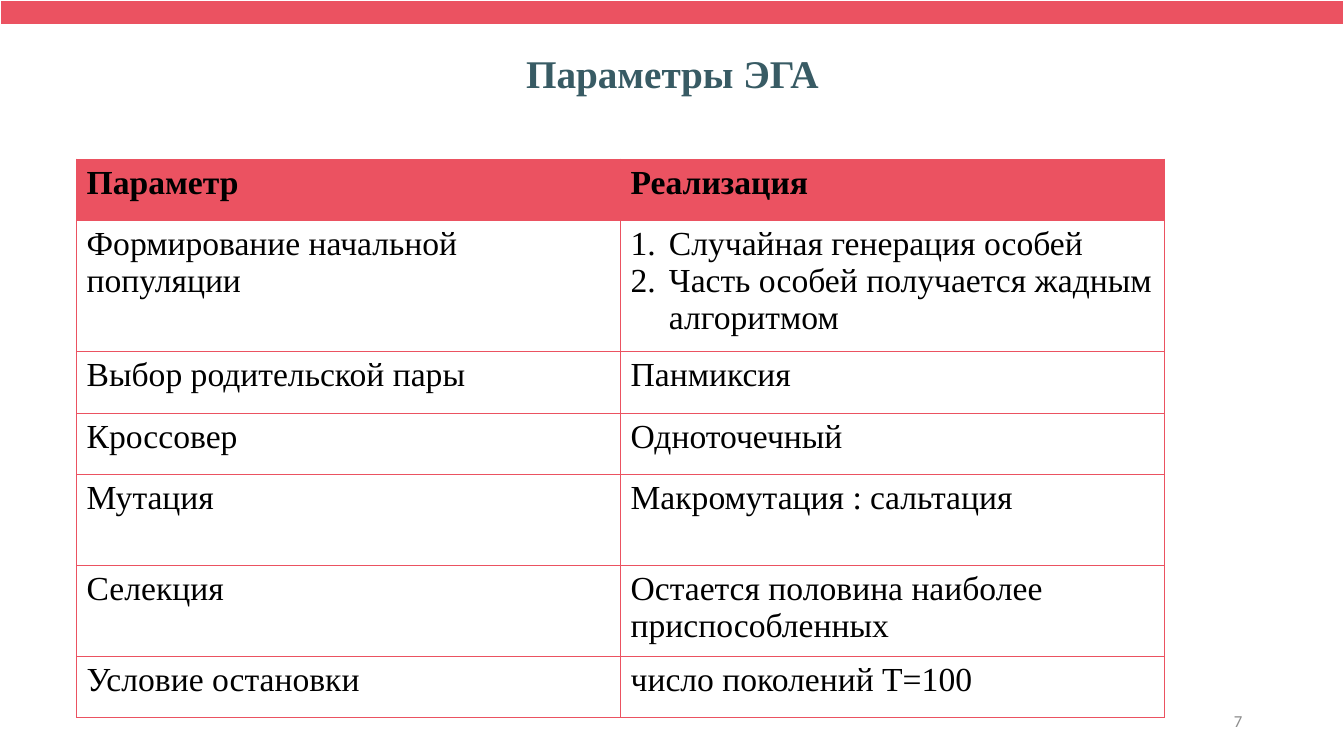
from lxml import etree
from pptx import Presentation
from pptx import util as u
from pptx.dml.color import RGBColor
from pptx.enum import shapes, text
from pptx.oxml.ns import qn

ACCENT = "EB5261"
SERIF = "Times New Roman"
ROWS = [
    ("Параметр", "Реализация"),
    ("Формирование начальной популяции",
     ["Случайная генерация особей", "Часть особей получается жадным алгоритмом"]),
    ("Выбор родительской пары", "Панмиксия"),
    ("Кроссовер", "Одноточечный"),
    ("Мутация", "Макромутация : cальтация"),
    ("Селекция\u00a0", "Остается половина наиболее приспособленных"),
    ("Условие остановки", "число поколений T=100"),
]
ROW_HEIGHTS = [0.61, 1.3, 0.61, 0.61, 0.9, 0.9, 0.61]


def color(value):
    return RGBColor.from_string(value)


def write(paragraph, words, size=24, font=SERIF, fill="000000", bold=False, align=None):
    run = paragraph.add_run()
    run.text = words
    run.font.size = u.Pt(size)
    run.font.name = font
    run.font.bold = bold
    run.font.color.rgb = color(fill)
    paragraph.alignment = align


def add_label(slide, box, words, anchor=text.MSO_ANCHOR.TOP, **style):
    frame = slide.shapes.add_textbox(*map(u.Inches, box)).text_frame
    frame.word_wrap = True
    frame.vertical_anchor = anchor
    write(frame.paragraphs[0], words, **style)


def add_top_band(slide, box):
    band = slide.shapes.add_shape(shapes.MSO_SHAPE.RECTANGLE, *map(u.Inches, box))
    band.shadow.inherit = False
    band.fill.solid()
    band.fill.fore_color.rgb = color(ACCENT)
    band.line.color.rgb = color("FFFFFF")
    band.line.width = u.Pt(1.5)


def number(paragraph):
    props = paragraph._p.get_or_add_pPr()
    props.set("marL", str(u.Inches(0.38)))
    props.set("indent", str(u.Inches(-0.38)))
    etree.SubElement(props, qn("a:buFont"), typeface="+mj-lt")
    etree.SubElement(props, qn("a:buAutoNum"), type="arabicPeriod")


def outline(cell):
    props = cell._tc.get_or_add_tcPr()
    for position, side in enumerate(("lnL", "lnR", "lnT", "lnB")):
        edge = etree.Element(qn("a:" + side), w=str(u.Pt(1)))
        paint = etree.SubElement(edge, qn("a:solidFill"))
        etree.SubElement(paint, qn("a:srgbClr"), val=ACCENT)
        props.insert(position, edge)


def fill_cell(cell, content, header):
    if header:
        cell.fill.solid()
        cell.fill.fore_color.rgb = color(ACCENT)
    else:
        cell.fill.background()
    outline(cell)
    numbered = isinstance(content, list)
    for index, words in enumerate(content if numbered else [content]):
        frame = cell.text_frame
        paragraph = frame.add_paragraph() if index else frame.paragraphs[0]
        write(paragraph, words, bold=header)
        if numbered:
            number(paragraph)


def add_parameters(slide, box):
    table = slide.shapes.add_table(len(ROWS), 2, *map(u.Inches, box)).table
    table.horz_banding = False
    for column in table.columns:
        column.width = u.Inches(box[2] / 2)
    for index, (contents, height) in enumerate(zip(ROWS, ROW_HEIGHTS)):
        table.rows[index].height = u.Inches(height)
        for cell, content in zip(table.rows[index].cells, contents):
            fill_cell(cell, content, header=index == 0)


def main():
    deck = Presentation()
    deck.slide_width = u.Inches(13.33)
    deck.slide_height = u.Inches(7.5)
    slide = deck.slides.add_slide(deck.slide_layouts[6])
    add_label(slide, (9.42, 6.95, 3, 0.4), "7", anchor=text.MSO_ANCHOR.MIDDLE,
              size=12, font="Calibri", fill="8C8C8C", align=text.PP_ALIGN.RIGHT)
    add_label(slide, (1.67, 0.44, 10, 0.57), "Параметры ЭГА", size=28,
              fill="385B64", bold=True, align=text.PP_ALIGN.CENTER)
    add_top_band(slide, (0, 0, 13.33, 0.25))
    add_parameters(slide, (0.76, 1.58, 10.79, sum(ROW_HEIGHTS)))
    deck.save("out.pptx")


if __name__ == "__main__":
    main()
